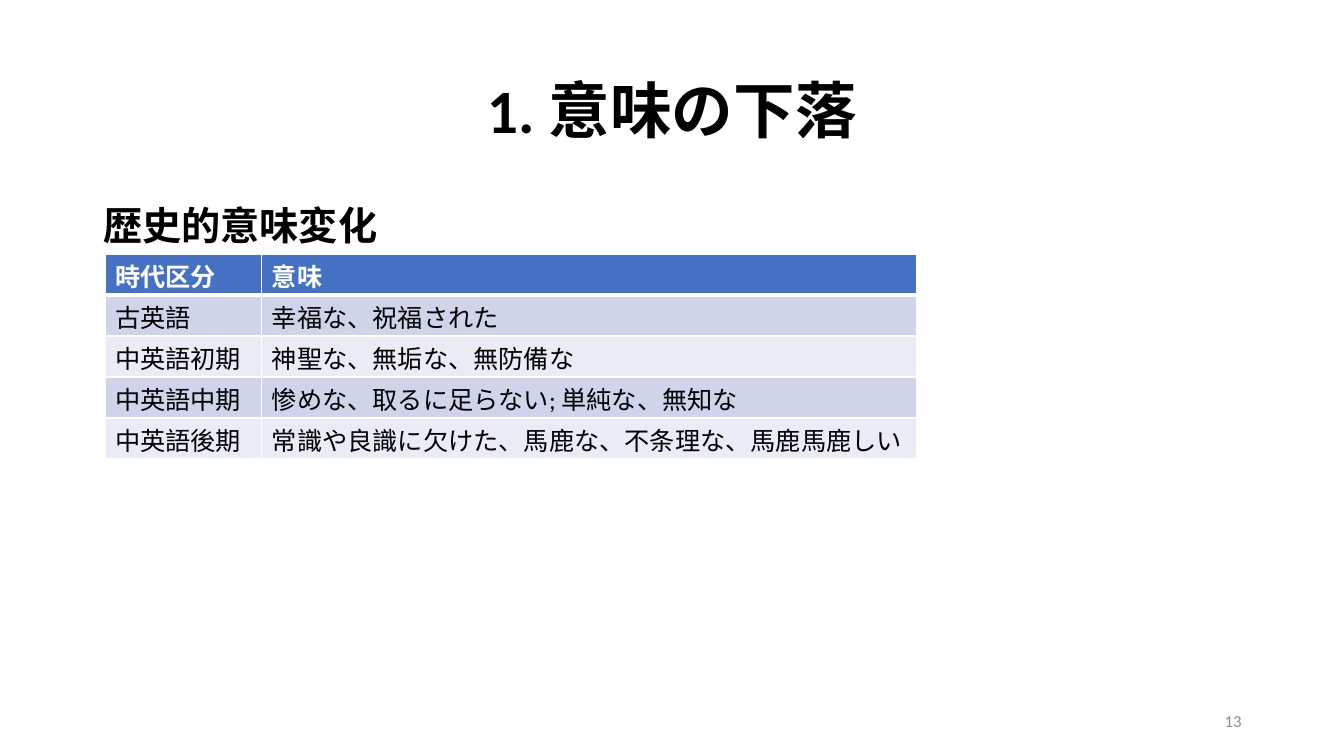
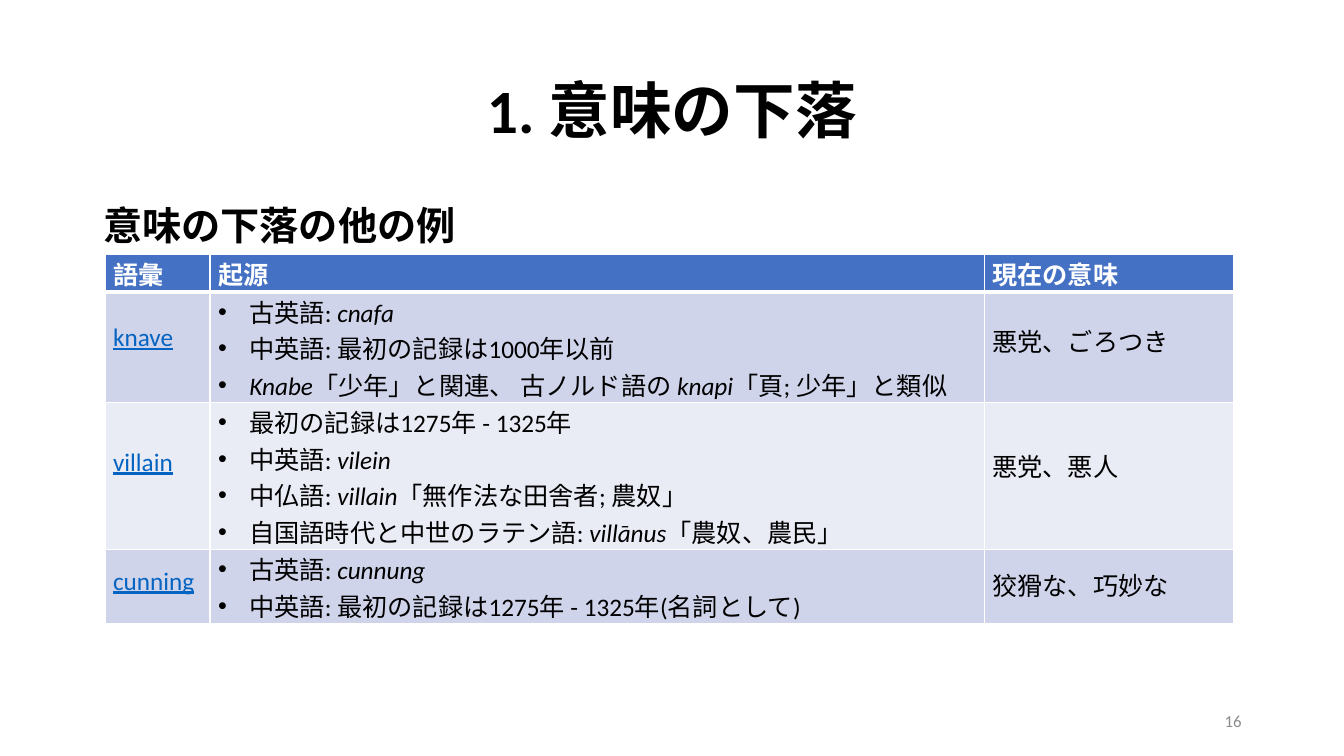
"""Build two slides on the lowering of word meaning, each with one table."""
from itertools import groupby

from lxml import etree
from pptx import Presentation
from pptx.dml.color import RGBColor
from pptx.enum import text as t
from pptx.oxml import ns, xmlchemy
from pptx.util import Pt

LATIN, JAPANESE = "Calibri", "Noto Sans CJK JP"
BLACK, WHITE, GREY = "000000", "FFFFFF", "8C8C8C"
HEADER, BANDS, LINK = "4471C4", ["E9EBF5", "CFD4EA"], "0563C1"
TITLE = "1. 意味の下落"
TABLE_LEFT, TABLE_TOP = 75, 181.4
BULLET_INDENT = Pt(22.3)

PAGES = [
    dict(
        number="13", heading="歴史的意味変化", linked=False,
        widths=[112, 468], heights=[29.3] * 5, side=7.2, tops=[2.2] * 5,
        rows=[
            ["時代区分", "意味"],
            ["古英語", "幸福な、祝福された"],
            ["中英語初期", "神聖な、無垢な、無防備な"],
            ["中英語中期", "惨めな、取るに足らない; 単純な、無知な"],
            ["中英語後期", "常識や良識に欠けた、馬鹿な、不条理な、馬鹿馬鹿しい"],
        ],
    ),
    dict(
        number="16", heading="意味の下落の他の例", linked=True,
        widths=[75, 553, 178.5], heights=[27, 79, 105, 53], side=5.8, tops=[1, 22, 32, 12],
        rows=[
            ["語彙", "起源", "現在の意味"],
            ["knave",
             ["古英語: *cnafa*",
              "中英語: 最初の記録は1000年以前",
              "*Knabe*「少年」と関連、 古ノルド語の *knapi*「頁; 少年」と類似"],
             "悪党、ごろつき"],
            ["villain",
             ["最初の記録は1275年 - 1325年",
              "中英語: *vilein*",
              "中仏語: *villain*「無作法な田舎者; 農奴」",
              "自国語時代と中世のラテン語: *villānus*「農奴、農民」"],
             "悪党、悪人"],
            ["cunning",
             ["古英語: *cunnung*",
              "中英語: 最初の記録は1275年 - 1325年(名詞として)"],
             "狡猾な、巧妙な"],
        ],
    ),
]


def write(paragraph, text, size=18, color=BLACK, bold=False, underline=False,
          align=t.PP_ALIGN.LEFT, spacing=1.0):
    """Write text with a font per script; asterisks enclose italics."""
    paragraph.alignment = align
    paragraph.line_spacing = spacing
    for index, part in enumerate(text.split("*")):
        for is_latin, letters in groupby(part, lambda letter: letter < "\u3000"):
            run = paragraph.add_run()
            run.text = "".join(letters)
            font = run.font
            font.size, font.bold, font.underline = Pt(size), bold, underline
            font.italic = index % 2 == 1
            font.color.rgb = RGBColor.from_string(color)
            font.name = LATIN if is_latin else JAPANESE
            east_asian = etree.SubElement(run._r.get_or_add_rPr(), ns.qn("a:ea"))
            east_asian.set("typeface", JAPANESE)


def add_border(cell, side, width):
    """Draw one white cell border."""
    line = etree.SubElement(cell._tc.get_or_add_tcPr(), ns.qn(f"a:ln{side}"), w=str(Pt(width)))
    fill = etree.SubElement(line, ns.qn("a:solidFill"))
    etree.SubElement(fill, ns.qn("a:srgbClr"), val=WHITE)


deck = Presentation()
deck.slide_width, deck.slide_height = Pt(960), Pt(540)

for page in PAGES:
    slide = deck.slides.add_slide(deck.slide_layouts[6])

    labels = [
        ((66, 28.8, 828, 104.4), TITLE, t.MSO_ANCHOR.MIDDLE,
         dict(size=44, bold=True, align=t.PP_ALIGN.CENTER, spacing=0.9)),
        ((678, 500.5, 216, 28.8), page["number"], t.MSO_ANCHOR.MIDDLE,
         dict(size=12, color=GREY, align=t.PP_ALIGN.RIGHT)),
        ((66.7, 140.4, 828, 342), page["heading"], t.MSO_ANCHOR.TOP,
         dict(size=28, bold=True)),
    ]
    for place, words, anchor, style in labels:
        frame = slide.shapes.add_textbox(*map(Pt, place)).text_frame
        frame.word_wrap = True
        frame.vertical_anchor = anchor
        write(frame.paragraphs[0], words, **style)

    widths, heights, rows = page["widths"], page["heights"], page["rows"]
    table = slide.shapes.add_table(
        len(rows), len(widths), Pt(TABLE_LEFT), Pt(TABLE_TOP),
        Pt(sum(widths)), Pt(sum(heights))).table
    table.horz_banding = False
    for column, width in zip(table.columns, widths):
        column.width = Pt(width)
    for row, height in zip(table.rows, heights):
        row.height = Pt(height)

    for r, entries in enumerate(rows):
        for c, entry in enumerate(entries):
            cell = table.cell(r, c)
            bulleted = isinstance(entry, list)
            is_link = page["linked"] and r > 0 and c == 0
            cell.margin_left = Pt(page["side"])
            cell.margin_right = cell.margin_bottom = Pt(0)
            cell.margin_top = Pt(page["tops"][0 if bulleted else r])
            for side in "LRTB":
                heavy = (r, side) in [(0, "B"), (1, "T")]
                add_border(cell, side, 3 if heavy else 1)
            cell.fill.solid()
            cell.fill.fore_color.rgb = RGBColor.from_string(BANDS[r % 2] if r else HEADER)

            for i, line in enumerate(entry if bulleted else [entry]):
                frame = cell.text_frame
                paragraph = frame.add_paragraph() if i else frame.paragraphs[0]
                if bulleted:
                    props = paragraph._p.get_or_add_pPr()
                    props.set("marL", str(BULLET_INDENT))
                    props.set("indent", str(-BULLET_INDENT))
                    etree.SubElement(props, ns.qn("a:buFont"), typeface="Arial")
                    etree.SubElement(props, ns.qn("a:buChar"), char="•")
                color = LINK if is_link else BLACK if r else WHITE
                write(paragraph, line, color=color, bold=r == 0, underline=is_link)

deck.save("out.pptx")
